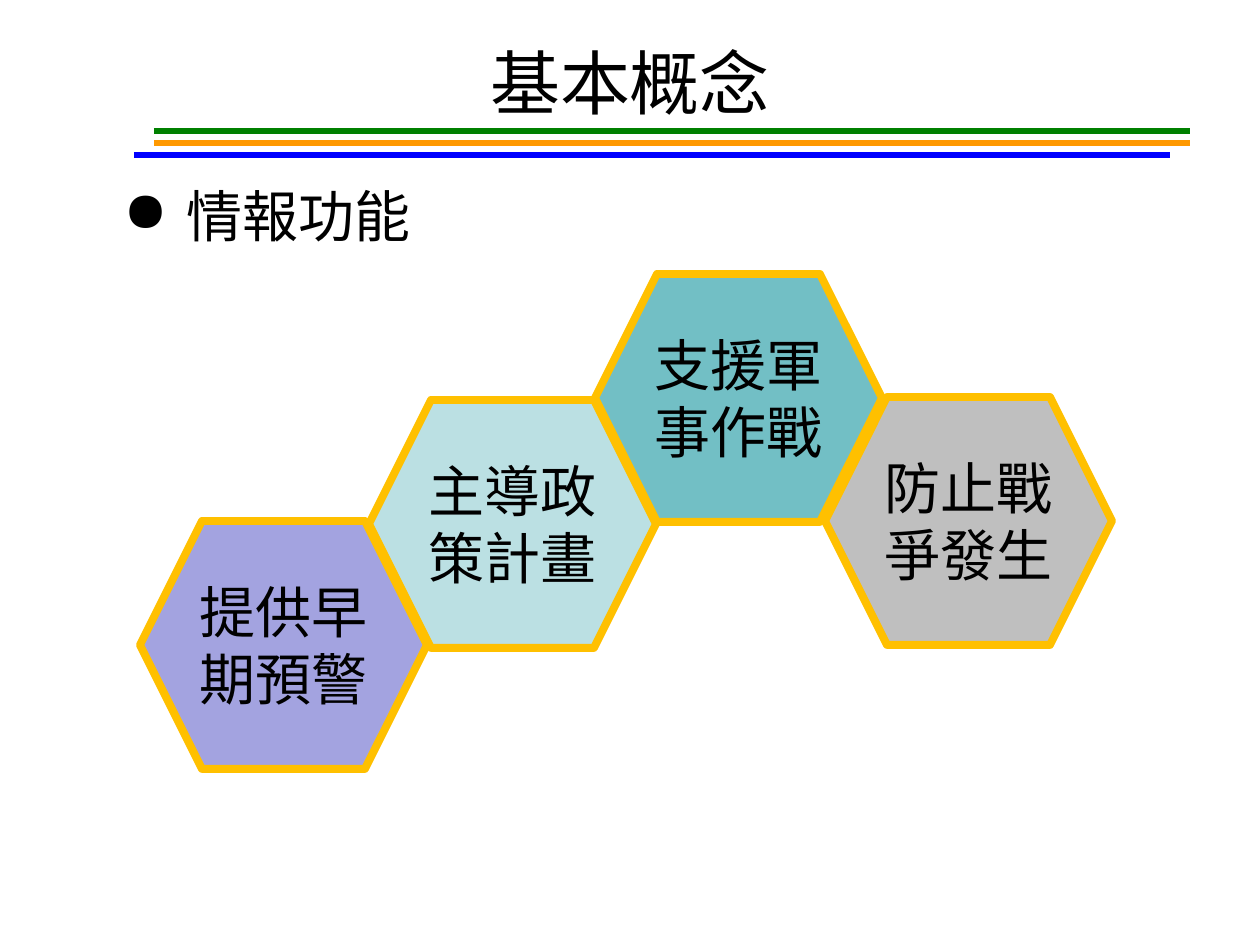
from dataclasses import dataclass

from lxml import etree
from pptx import Presentation
from pptx.dml.color import RGBColor
from pptx.enum.shapes import MSO_CONNECTOR, MSO_SHAPE
from pptx.enum.text import MSO_ANCHOR, PP_ALIGN
from pptx.oxml.ns import qn
from pptx.util import Emu, Pt

LINE = MSO_CONNECTOR.STRAIGHT
HEX = MSO_SHAPE.HEXAGON
MID, TOP = MSO_ANCHOR.MIDDLE, MSO_ANCHOR.TOP
LEFT, CENTER = PP_ALIGN.LEFT, PP_ALIGN.CENTER
PX = 914400 // 126


@dataclass(frozen=True)
class Theme:
    ink: str = "000000"
    edge: str = "FFC000"
    green: str = "008000"
    orange: str = "FF9900"
    blue: str = "0000FF"
    aqua: str = "BBE0E3"
    teal: str = "72BFC5"
    violet: str = "A3A3E0"
    gray: str = "BFBFBF"
    latin: str = "Arial"
    asian: str = "Noto Sans CJK SC"
    title: int = 40
    body: int = 32
    rule: float = 3
    border: float = 4.5


THEME = Theme()


def px(*vals):
    return [Emu(v * PX) for v in vals]


def color(code):
    return RGBColor.from_string(code)


def assign(item, **form):
    for key, val in form.items():
        setattr(item, key, val)


def write(shape, text, size, font, align=CENTER, anchor=MID, bullet=None):
    """Fill a shape with one styled paragraph."""
    frame = shape.text_frame
    assign(frame, word_wrap=True, vertical_anchor=anchor)
    para = frame.paragraphs[0]
    para.alignment = align
    if bullet:
        props = para._p.get_or_add_pPr()
        hang = 63 * PX
        props.set("marL", str(111 * PX))
        props.set("indent", str(-hang))
        etree.SubElement(props, qn("a:buChar")).set("char", bullet)
    run = para.add_run()
    run.text = text
    assign(run.font, size=Pt(size), name=font)
    run.font.color.rgb = color(THEME.ink)
    east = etree.SubElement(run._r.get_or_add_rPr(), qn("a:ea"))
    east.set("typeface", THEME.asian)


def add_text(slide, box, text, size, font, **form):
    shape = slide.shapes.add_textbox(*px(*box))
    write(shape, text, size, font, **form)


def add_rule(slide, left, y, code):
    width = 1036
    line = slide.shapes.add_connector(LINE, *px(left, y, left + width, y))
    line.line.color.rgb = color(code)
    line.line.width = Pt(THEME.rule)
    etree.SubElement(line._element.spPr, qn("a:effectLst"))


def add_hex(slide, left, top, text, code):
    shape = slide.shapes.add_shape(HEX, *px(left, top, 287, 248))
    shape.shadow.inherit = False
    shape.fill.solid()
    shape.fill.fore_color.rgb = color(code)
    shape.line.color.rgb = color(THEME.edge)
    shape.line.width = Pt(THEME.border)
    etree.SubElement(shape.line._get_or_add_ln(), qn("a:round"))
    # Three characters fit on each line
    assign(shape.text_frame, margin_left=0, margin_right=0)
    write(shape, text, THEME.body, THEME.latin)


def main():
    deck = Presentation()
    assign(deck, slide_width=Emu(1260 * PX), slide_height=Emu(945 * PX))
    slide = deck.slides.add_slide(deck.slide_layouts[6])

    # Rules under the title
    for left, y, code in (
        (154, 143, THEME.orange),
        (134, 155, THEME.blue),
        (154, 131, THEME.green),
    ):
        add_rule(slide, left, y, code)

    # Title and lead point
    add_text(slide, (63, 38, 1134, 87), "基本概念", THEME.title, THEME.latin)
    add_text(slide, (63, 175, 1134, 417), "情報功能", THEME.body, THEME.asian,
             align=LEFT, anchor=TOP, bullet="●")

    # Chain of functions, back to front
    for left, top, text, code in (
        (369, 400, "主導政策計畫", THEME.aqua),
        (595, 274, "支援軍事作戰", THEME.teal),
        (140, 521, "提供早期預警", THEME.violet),
        (825, 397, "防止戰爭發生", THEME.gray),
    ):
        add_hex(slide, left, top, text, code)

    deck.save("out.pptx")


if __name__ == "__main__":
    main()
